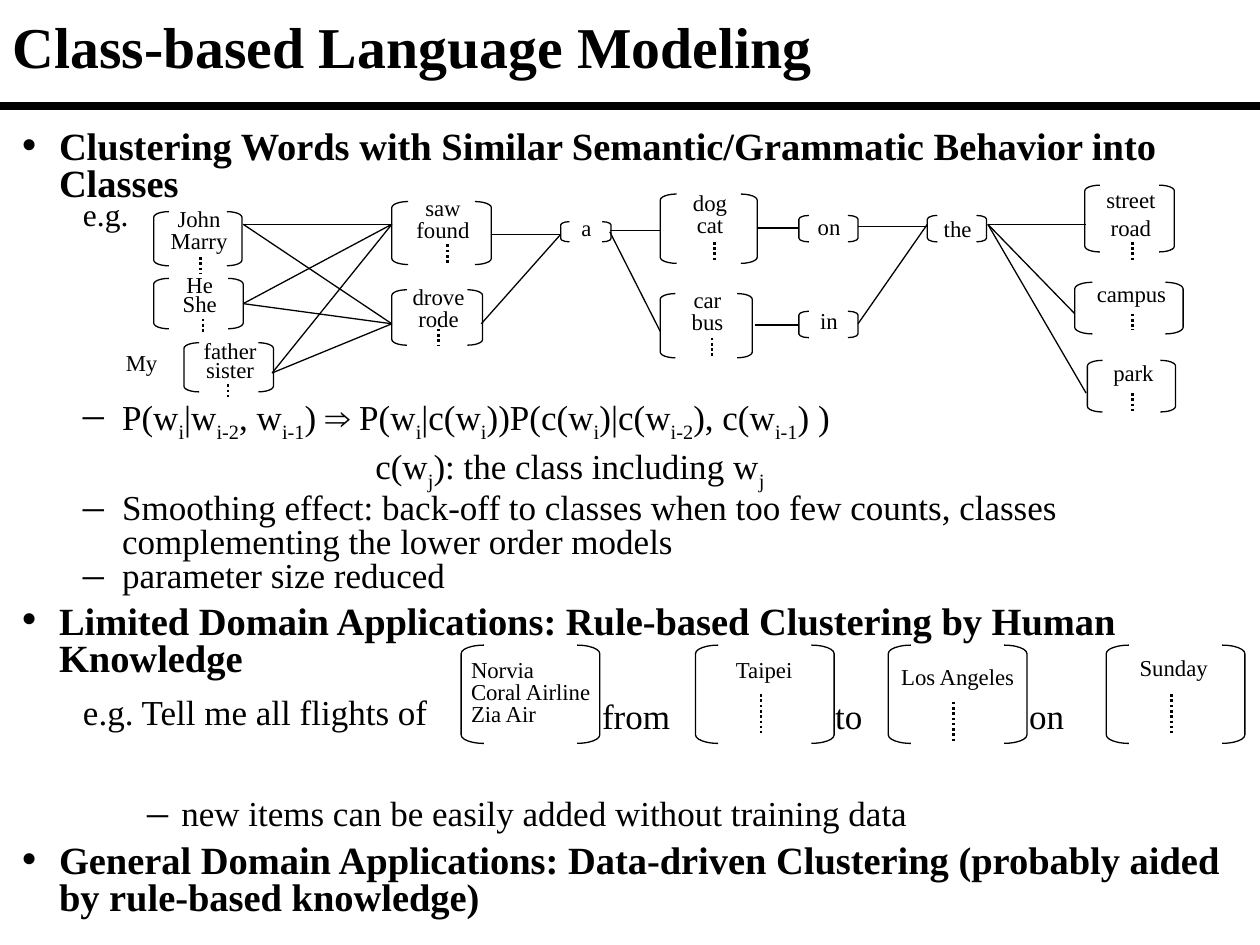
"""Build the slide on class-based language modeling with its word-class diagram."""
from lxml.etree import SubElement
from pptx import Presentation
from pptx.dml.color import RGBColor
from pptx.enum.dml import MSO_LINE
from pptx.enum.shapes import MSO_CONNECTOR, MSO_SHAPE
from pptx.enum.text import MSO_ANCHOR, MSO_AUTO_SIZE, PP_ALIGN
from pptx.oxml.ns import qn
from pptx.util import Inches, Pt

BLACK = "000000"
FONT = "Times New Roman"
LEFT, CENTER = PP_ALIGN.LEFT, PP_ALIGN.CENTER


def write(paragraph, text, size, bold=False):
    for index, part in enumerate(text.split("_")):
        if part:
            span = paragraph.add_run()
            span.text = part
            style = {"name": FONT, "size": Pt(size), "bold": bold}
            for name, value in style.items():
                setattr(span.font, name, value)
            span.font.color.rgb = RGBColor.from_string(BLACK)
            if index % 2:
                span.font._element.set("baseline", "-25000")


def draw_line(x1, y1, x2, y2, width=0.75):
    line = page.shapes.add_connector(
        MSO_CONNECTOR.STRAIGHT, Inches(x1), Inches(y1), Inches(x2), Inches(y2))
    line.line.color.rgb = RGBColor.from_string(BLACK)
    line.line.width = Pt(width)
    SubElement(line._element.spPr, qn("a:effectLst"))
    return line


deck = Presentation()
deck.slide_width, deck.slide_height = Inches(10), Inches(7.5)
page = deck.slides.add_slide(deck.slide_layouts[5])

title = page.shapes.title
for name, value in {"left": 0, "top": 0, "width": 10, "height": 0.79}.items():
    setattr(title, name, Inches(value))
title.text_frame.auto_size = MSO_AUTO_SIZE.NONE
title.text_frame.vertical_anchor = MSO_ANCHOR.MIDDLE
heading = title.text_frame.paragraphs[0]
heading.alignment, heading.line_spacing = LEFT, 0.9
write(heading, "Class-based Language Modeling", 33, True)
draw_line(0, 0.84, 10, 0.84, 4.5)

HEAD = {"level": 0, "margin": 0.3, "indent": -0.3, "bullet": "•", "size": 22, "bold": True}
ITEM = {"level": 1, "margin": 0.8, "indent": -0.31, "bullet": "–", "size": 20}
EXAMPLE = {"level": 1, "margin": 0.8, "indent": -0.31, "size": 20}
DEFINITION = {"level": 1, "margin": 2.81, "indent": 0, "size": 20}
SUBITEM = {"level": 2, "margin": 1.27, "indent": -0.27, "bullet": "–", "size": 20}
outline = [
    ("Clustering Words with Similar Semantic/Grammatic Behavior into Classes",
     HEAD, {"before": 20}),
    ("e.g.", EXAMPLE, {"size": 18, "spacing": 0.7}),
    ("P(w_i_|w_i-2_, w_i-1_) ⇒ P(w_i_|c(w_i_))P(c(w_i_)|c(w_i-2_), c(w_i-1_) )",
     ITEM, {"gap": 96.5}),
    ("c(w_j_): the class including w_j_", DEFINITION, {"before": 30}),
    ("Smoothing effect: back-off to classes when too few counts, classes "
     "complementing the lower order models", ITEM, {"before": 20}),
    ("parameter size reduced", ITEM, {"after": 30}),
    ("Limited Domain Applications: Rule-based Clustering by Human Knowledge",
     HEAD, {"after": 50}),
    ("e.g. Tell me all flights of", EXAMPLE, {}),
    ("new items can be easily added without training data", SUBITEM, {"gap": 38.5}),
    ("General Domain Applications: Data-driven Clustering (probably aided by "
     "rule-based knowledge)", HEAD, {"before": 30}),
]
body = page.shapes.add_textbox(Inches(0.07), Inches(0.99), Inches(9.81), Inches(6.39))
body.text_frame.word_wrap = True
body.text_frame.auto_size = MSO_AUTO_SIZE.SHAPE_TO_FIT_TEXT
for index, (text, base, extra) in enumerate(outline):
    look = base | extra
    paragraph = body.text_frame.add_paragraph() if index else body.text_frame.paragraphs[0]
    paragraph.level = look["level"]
    paragraph.line_spacing = look.get("spacing", 0.8)
    if "gap" in look:
        paragraph.space_before = Pt(look["gap"])
    properties = paragraph._p.get_or_add_pPr()
    properties.set("marL", str(Inches(look["margin"])))
    properties.set("indent", str(Inches(look["indent"])))
    for side, tag in (("before", "a:spcBef"), ("after", "a:spcAft")):
        if side in look:
            space = SubElement(properties, qn(tag))
            SubElement(space, qn("a:spcPct")).set("val", str(look[side] * 1000))
    if "bullet" in look:
        SubElement(properties, qn("a:buSzPct")).set("val", "120000")
        SubElement(properties, qn("a:buFont")).set("typeface", FONT)
        SubElement(properties, qn("a:buChar")).set("char", look["bullet"])
    write(paragraph, text, look["size"], look.get("bold", False))

TIGHT, NORMAL, LOOSE = (0.7, 0.7), (0.8, 0.8, 0.8), (0.8, 1)
word_classes = [
    (1.22, 1.68, 0.70, 0.43, 0.12, 1.23, 1.62, 0.70, NORMAL, ["John", "Marry"]),
    (1.22, 2.21, 0.71, 0.40, 0.12, 1.23, 2.16, 0.71, TIGHT, ["He", "She"]),
    (1.46, 2.72, 0.71, 0.39, 0.12, 1.47, 2.68, 0.71, TIGHT, ["father", "sister"]),
    (3.11, 1.60, 0.79, 0.50, 0.13, 3.12, 1.53, 0.79, NORMAL, ["saw", "found"]),
    (3.11, 2.30, 0.72, 0.44, 0.12, 3.12, 2.24, 0.72, NORMAL, ["drove", "rode"]),
    (4.45, 1.76, 0.40, 0.16, 0.07, 4.46, 1.69, 0.39, NORMAL, ["a"]),
    (5.24, 1.54, 0.77, 0.55, 0.13, 5.25, 1.49, 0.77, NORMAL, ["dog", "cat"]),
    (5.24, 2.33, 0.73, 0.51, 0.12, 5.25, 2.26, 0.73, NORMAL, ["car", "bus"]),
    (6.34, 1.71, 0.47, 0.21, 0.08, 6.35, 1.68, 0.46, NORMAL, ["on"]),
    (6.34, 2.47, 0.47, 0.21, 0.08, 6.35, 2.43, 0.46, NORMAL, ["in"]),
    (7.36, 1.71, 0.47, 0.21, 0.08, 7.37, 1.70, 0.46, NORMAL, ["the"]),
    (8.61, 1.47, 0.71, 0.53, 0.12, 8.62, 1.47, 0.71, LOOSE, ["street", "road"]),
    (8.53, 2.24, 0.86, 0.41, 0.14, 8.55, 2.21, 0.86, NORMAL, ["campus"]),
    (8.63, 2.86, 0.70, 0.41, 0.12, 8.64, 2.86, 0.71, TIGHT, ["park"]),
    (3.66, 5.12, 1.10, 0.78, 0.18, 3.64, 5.20, 1.20, NORMAL,
     ["Norvia", "Coral Airline", "Zia Air"]),
    (5.52, 5.12, 1.10, 0.78, 0.18, 5.63, 5.20, 0.87, NORMAL, ["Taipei"]),
    (7.05, 5.12, 1.10, 0.78, 0.18, 6.97, 5.25, 1.26, NORMAL, ["Los Angeles"]),
    (8.78, 5.12, 1.10, 0.78, 0.18, 8.88, 5.18, 0.87, NORMAL, ["Sunday"]),
]
for left, top, width, height, depth, text_left, text_top, text_width, spacings, words in word_classes:
    for kind, x in ((MSO_SHAPE.LEFT_BRACKET, left),
                    (MSO_SHAPE.RIGHT_BRACKET, left + width - depth)):
        bracket = page.shapes.add_shape(
            kind, Inches(x), Inches(top), Inches(depth), Inches(height))
        bracket.adjustments[0] = 0.375
        bracket.shadow.inherit = False
        bracket.fill.background()
        bracket.line.color.rgb = RGBColor.from_string(BLACK)
        bracket.line.width = Pt(0.75)
    box = page.shapes.add_textbox(
        Inches(text_left), Inches(text_top), Inches(text_width), Inches(0.2 * len(words)))
    box.text_frame.word_wrap = True
    for index, (word, spacing) in enumerate(zip(words, spacings)):
        paragraph = box.text_frame.add_paragraph() if index else box.text_frame.paragraphs[0]
        paragraph.alignment = LEFT if len(words) == 3 else CENTER
        paragraph.line_spacing = spacing
        write(paragraph, word, 13)

loose_words = [
    ("My", 0.9, 2.72, 0.62, 13), ("from", 4.68, 5.46, 0.8, 20),
    ("to", 6.53, 5.46, 0.5, 20), ("on", 8.07, 5.46, 0.55, 20),
]
for word, left, top, width, size in loose_words:
    box = page.shapes.add_textbox(Inches(left), Inches(top), Inches(width), Inches(0.42))
    box.text_frame.word_wrap = True
    write(box.text_frame.paragraphs[0], word, size)

ellipses = [
    (1.59, 2.04, 0.13), (1.61, 2.53, 0.12), (1.81, 3.05, 0.11), (3.55, 1.94, 0.15),
    (3.48, 2.61, 0.13), (5.67, 1.92, 0.16), (5.65, 2.68, 0.15), (8.99, 1.92, 0.14),
    (8.99, 2.49, 0.13), (8.99, 3.12, 0.14), (6.04, 5.51, 0.31), (7.57, 5.57, 0.31),
    (9.3, 5.51, 0.31),
]
for x, y, length in ellipses:
    draw_line(x, y, x, y + length, 1.5).line.dash_style = MSO_LINE.ROUND_DOT

for start in ((1.93, 1.78), (1.93, 2.41), (2.16, 2.96)):
    for end in ((3.11, 1.78), (3.11, 2.57)):
        draw_line(*start, *end)
links = [
    (3.9, 1.86, 4.45, 1.86), (4.45, 1.86, 3.82, 2.57),
    (4.84, 1.83, 5.24, 1.83), (4.84, 1.84, 5.24, 2.63),
    (6.02, 1.81, 6.34, 1.81), (5.99, 2.58, 6.34, 2.58),
    (6.81, 1.8, 7.36, 1.8), (7.36, 1.78, 6.81, 2.57),
    (7.84, 1.78, 8.62, 1.78), (7.84, 1.78, 8.53, 2.49), (7.84, 1.78, 8.62, 3.12),
]
for link in links:
    draw_line(*link)

deck.save("out.pptx")
